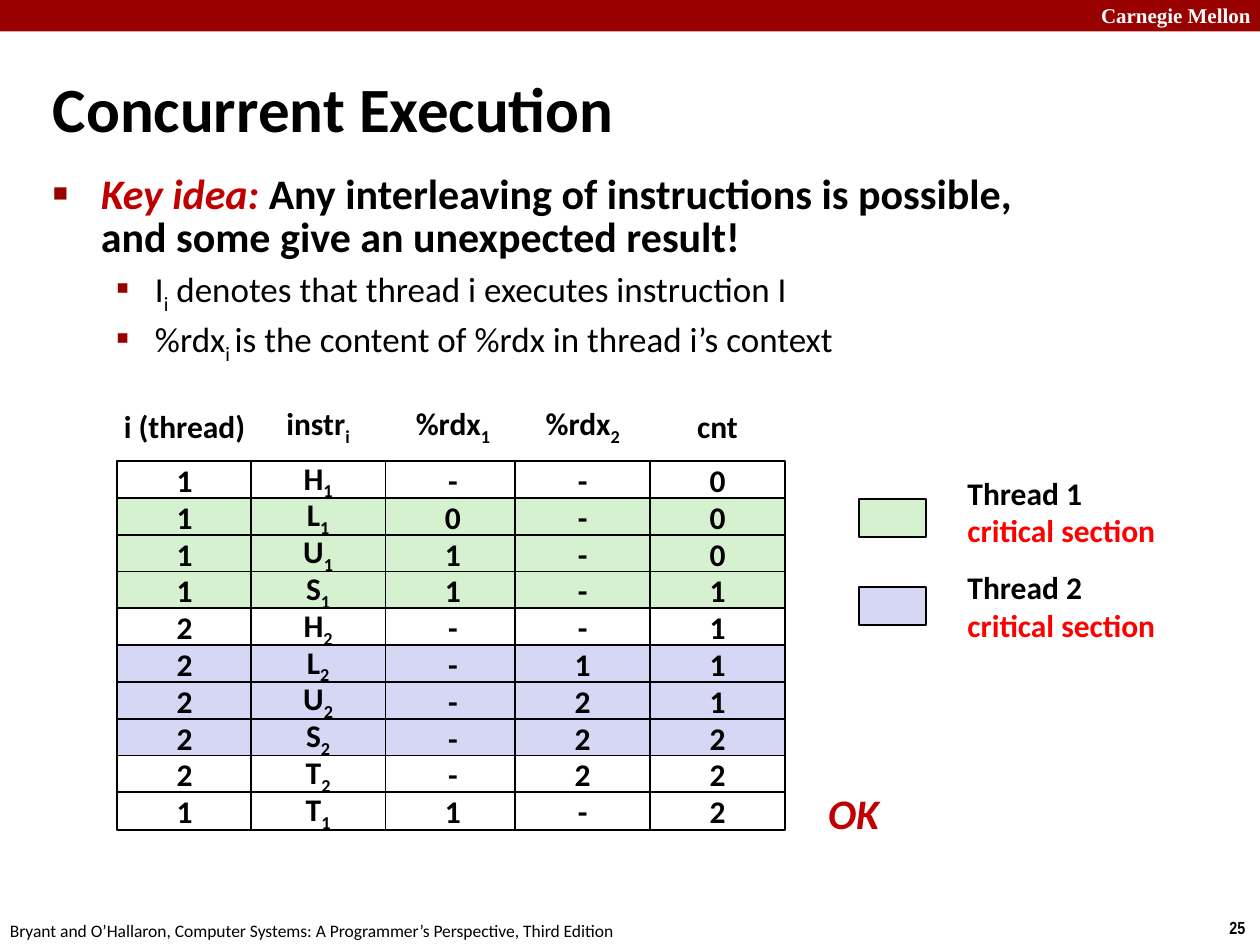
from lxml import etree
from pptx import Presentation
from pptx.dml.color import RGBColor
from pptx.enum.shapes import MSO_SHAPE
from pptx.enum.text import MSO_ANCHOR, MSO_AUTO_SIZE, PP_ALIGN
from pptx.oxml.ns import qn
from pptx.util import Inches, Pt

RECT = MSO_SHAPE.RECTANGLE
LEFT, MID = PP_ALIGN.LEFT, PP_ALIGN.CENTER
TOP, CENTER = MSO_ANCHOR.TOP, MSO_ANCHOR.MIDDLE
FIXED = MSO_AUTO_SIZE.NONE

BLACK, WHITE, RED = "000000", "FFFFFF", "FF0000"
BAR, DARK = "990000", "C00000"
GREEN, BLUE = "D5F1CF", "D6D6F5"


def color(code):
    return RGBColor.from_string(code)


def write(para, text, size=18, font="Calibri", ink=BLACK, bold=True, slant=False):
    for row, line in enumerate(text.split("\n")):
        if row:
            para.add_line_break()
        for spot, part in enumerate(line.split("_")):
            run = para.add_run()
            run.text = part
            run.font.size = Pt(size)
            run.font.name = font
            run.font.color.rgb = color(ink)
            run.font.bold = bold
            run.font.italic = slant
            if spot % 2:
                run._r.get_or_add_rPr().set("baseline", "-25000")


class Deck:
    def __init__(self):
        self.show = Presentation()
        self.show.slide_width = Inches(10)
        self.show.slide_height = Inches(7.5)
        self.slide = self.show.slides.add_slide(self.show.slide_layouts[1])

    def place(self, shape, left, top, width, height):
        shape.left, shape.top = Inches(left), Inches(top)
        shape.width, shape.height = Inches(width), Inches(height)

    def indent(self, para, left, first):
        props = para._p.get_or_add_pPr()
        props.set("marL", str(Inches(left)))
        props.set("indent", str(Inches(first)))
        return props

    def title(self, text, *area):
        shape = self.slide.shapes.title
        self.place(shape, *area)
        frame = shape.text_frame
        frame.auto_size = FIXED
        frame.vertical_anchor = CENTER
        para = frame.paragraphs[0]
        para.alignment = LEFT
        self.indent(para, 0.13, -0.13)
        write(para, text, size=36)

    def body(self, *area):
        shape = self.slide.placeholders[1]
        self.place(shape, *area)
        shape.text_frame.auto_size = FIXED
        return shape.text_frame

    def bullet(self, para, level, left, first, mark, scale, space, before):
        para.level = level
        props = self.indent(para, left, first)
        tint = etree.SubElement(props, qn("a:buClr"))
        etree.SubElement(tint, qn("a:srgbClr"), val=BAR)
        etree.SubElement(props, qn("a:buSzPct"), val=str(scale * 1000))
        etree.SubElement(props, qn("a:buChar"), char=mark)
        para.line_spacing = space
        para.space_before = Pt(before)

    def box(self, left, top, width, height, fill, line=BLACK, text=""):
        shape = self.slide.shapes.add_shape(RECT, 0, 0, 0, 0)
        self.place(shape, left, top, width, height)
        shape.shadow.inherit = False
        shape.fill.solid()
        shape.fill.fore_color.rgb = color(fill)
        if line:
            shape.line.color.rgb = color(line)
            shape.line.width = Pt(1)
        else:
            shape.line.fill.background()
        if text:
            shape.text_frame.vertical_anchor = CENTER
            para = shape.text_frame.paragraphs[0]
            para.alignment = MID
            write(para, text)

    def label(self, text, *area, wrap=False, align=LEFT, anchor=TOP, **style):
        shape = self.slide.shapes.add_textbox(0, 0, 0, 0)
        self.place(shape, *area)
        frame = shape.text_frame
        frame.word_wrap = wrap
        frame.vertical_anchor = anchor
        para = frame.paragraphs[0]
        para.alignment = align
        write(para, text, **style)
        return para


def main():
    deck = Deck()
    deck.box(0, 0, 10, 0.25, BAR, line=None)
    deck.label("Carnegie Mellon", 8.64, -0.03, 1.43, 0.3, wrap=True,
               size=12, font="Times New Roman", ink=WHITE)
    deck.label("25", 9.66, 7.23, 0.34, 0.27, size=10, font="Arial Narrow")
    deck.label("Bryant and O’Hallaron, Computer Systems: A Programmer’s Perspective, Third Edition",
               -0.02, 7.25, 5.08, 0.27, size=10, bold=False)
    deck.title("Concurrent Execution", 0.32, 0.54, 7.24, 0.63)

    frame = deck.body(0.32, 1.34, 9.09, 1.59)
    para = frame.paragraphs[0]
    deck.bullet(para, 0, 0.38, -0.38, "■", 60, 0.85, 0)
    write(para, "Key idea: ", size=24, ink=DARK, slant=True)
    write(para, "Any interleaving of instructions is possible,\n"
                "and some give an unexpected result!", size=24)
    for text in ("I_i_ denotes that thread i executes instruction I",
                 "%rdx_i _is the content of %rdx in thread i’s context"):
        para = frame.add_paragraph()
        deck.bullet(para, 1, 0.81, -0.31, "▪", 110, 0.9, 4)
        write(para, text, size=20, bold=False)

    wide, high, top, step = 1.07, 0.3, 3.66, 0.292
    lefts = (0.93, 1.99, 3.06, 4.09, 5.16)
    heads = (("i (thread)", 1.17), ("instr_i", 0.71), ("%rdx_1", 0.81),
             ("%rdx_2", 0.81), ("cnt", 0.53))
    rows = (
        (WHITE, "1", "H_1", "-", "-", "0"),
        (GREEN, "1", "L_1", "0", "-", "0"),
        (GREEN, "1", "U_1", "1", "-", "0"),
        (GREEN, "1", "S_1", "1", "-", "1"),
        (WHITE, "2", "H_2", "-", "-", "1"),
        (BLUE, "2", "L_2", "-", "1", "1"),
        (BLUE, "2", "U_2", "-", "2", "1"),
        (BLUE, "2", "S_2", "-", "2", "2"),
        (WHITE, "2", "T_2", "-", "2", "2"),
        (WHITE, "1", "T_1", "1", "-", "2"),
    )
    for left, (text, width) in zip(lefts, heads):
        deck.label(text, left + (wide - width) / 2, 3.18, width, 0.4,
                   align=MID, anchor=CENTER)
    for row, (fill, *cells) in enumerate(rows):
        for left, text in zip(lefts, cells):
            deck.box(left, top + row * step, wide, high, fill, text=text)
    deck.label("OK", 6.47, 6.2, 0.61, 0.5, align=MID, anchor=CENTER,
               size=24, ink=DARK, slant=True)

    for text, fill, key, note in (("Thread 1 ", GREEN, 3.96, 3.71),
                                  ("Thread 2 ", BLUE, 4.66, 4.46)):
        deck.box(6.82, key, 0.53, high, fill)
        para = deck.label(text, 7.58, note, 1.75, 0.71, wrap=True)
        write(para, "critical section", ink=RED)

    deck.show.save("out.pptx")


if __name__ == "__main__":
    main()
